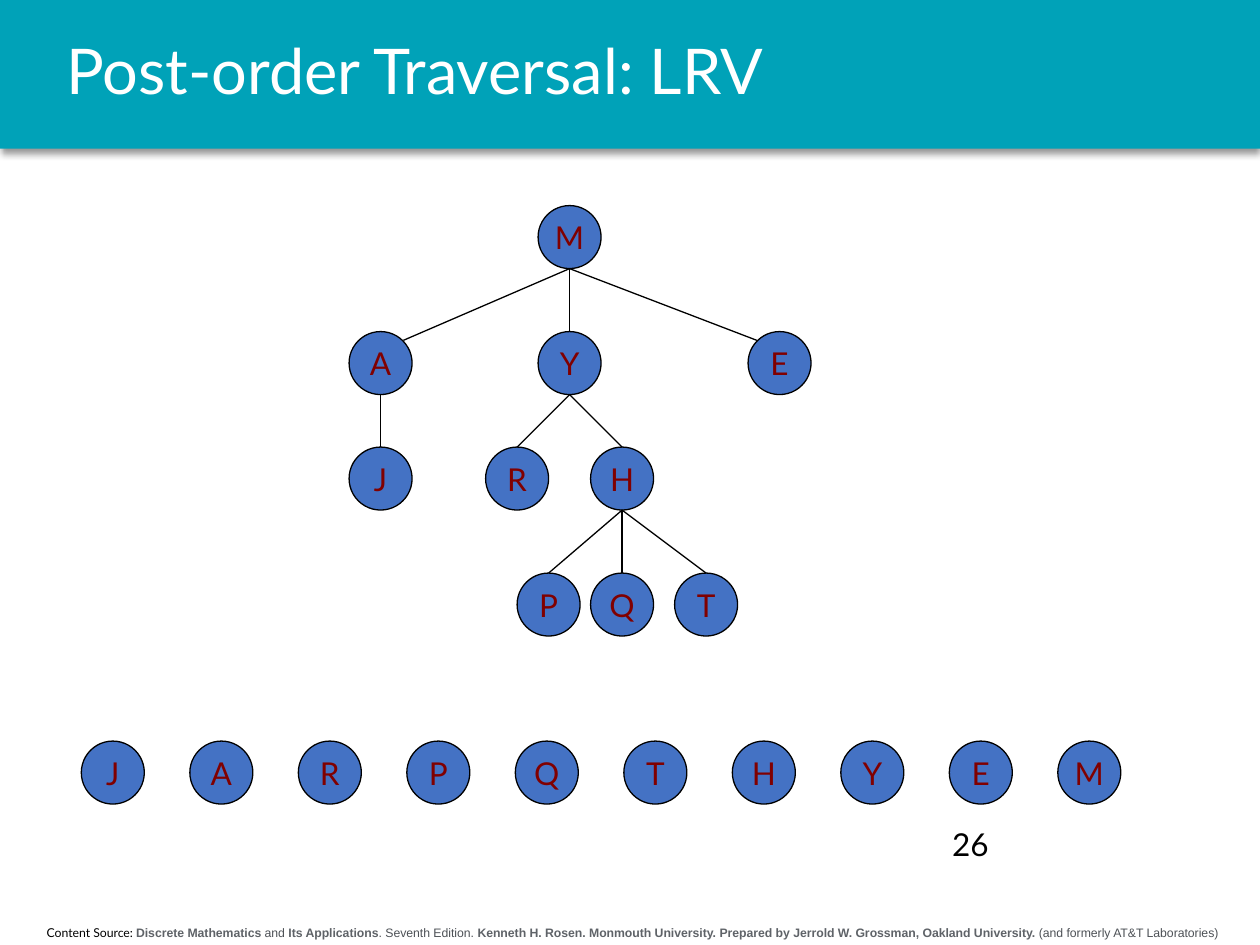
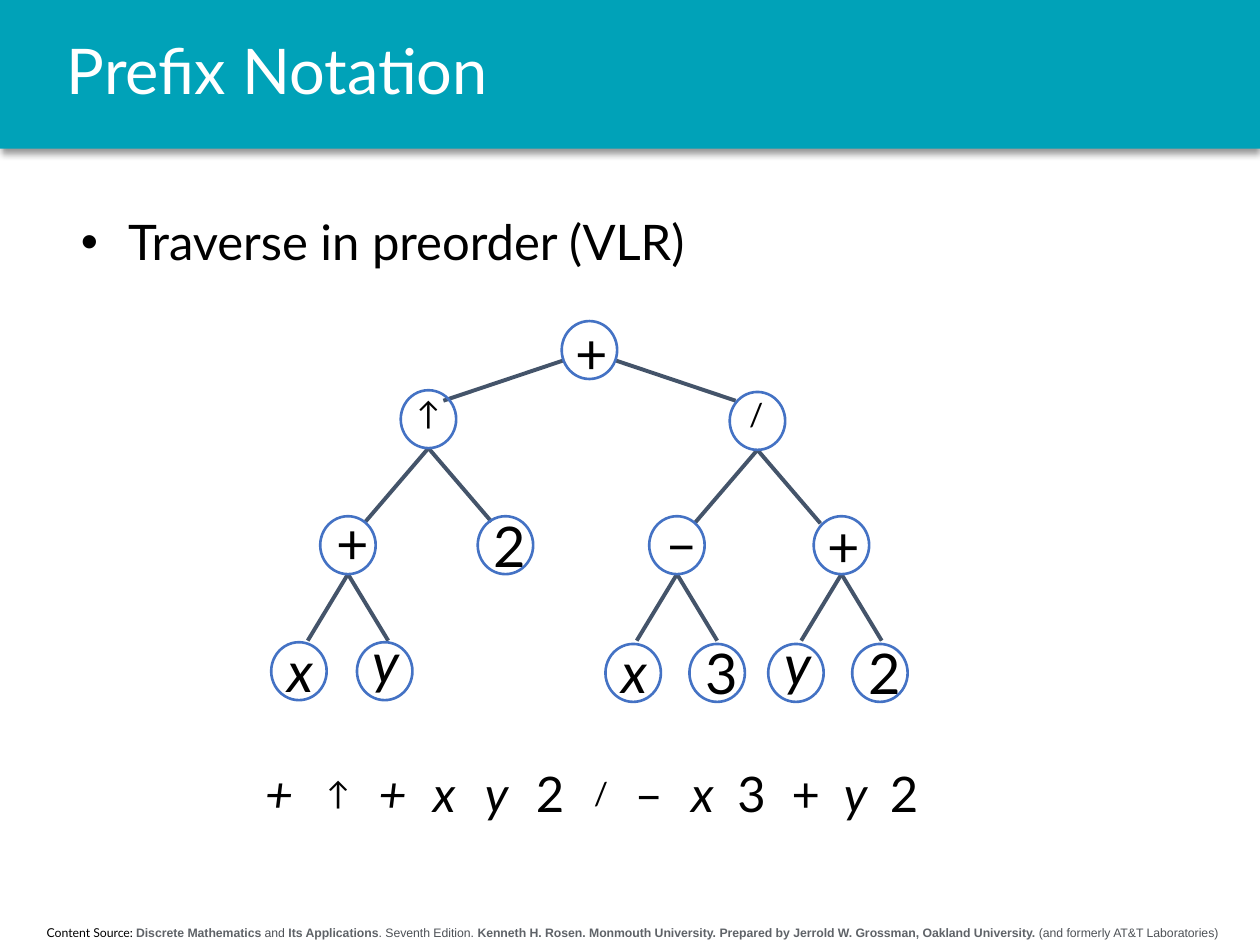
from dataclasses import dataclass

from lxml import etree
from pptx import Presentation
from pptx.dml.color import RGBColor
from pptx.enum.shapes import MSO_CONNECTOR, MSO_SHAPE
from pptx.enum.text import MSO_ANCHOR, MSO_AUTO_SIZE, PP_ALIGN
from pptx.oxml.ns import qn
from pptx.util import Pt

STRAIGHT = MSO_CONNECTOR.STRAIGHT
OVAL, RECTANGLE = MSO_SHAPE.OVAL, MSO_SHAPE.RECTANGLE
MIDDLE, TOP = MSO_ANCHOR.MIDDLE, MSO_ANCHOR.TOP
NO_AUTOFIT = MSO_AUTO_SIZE.NONE
LEFT, CENTER = PP_ALIGN.LEFT, PP_ALIGN.CENTER
TITLE_AND_BODY, TITLE_ONLY = 1, 5


@dataclass(frozen=True)
class Theme:
    font: str = "Lato"
    source_font: str = "Arial"
    teal: str = "00A2B8"
    blue: str = "4472C4"
    slate: str = "44546A"
    maroon: str = "800000"
    black: str = "000000"
    white: str = "FFFFFF"
    source_bold: str = "5F6368"
    source_plain: str = "4D5156"
    title_size: float = 36
    label_size: float = 32
    body_size: float = 28
    node_size: float = 18
    source_size: float = 7


THEME = Theme()
WIDTH, HEIGHT, BAND_HEIGHT = 720, 540, 85

SOURCE = [
    ("Content Source: ", THEME.font, THEME.black, False),
    ("Discrete Mathematics", THEME.source_font, THEME.source_bold, True),
    (" and ", THEME.source_font, THEME.source_plain, False),
    ("Its Applications", THEME.source_font, THEME.source_bold, True),
    (". Seventh Edition. ", THEME.source_font, THEME.source_plain, False),
    ("Kenneth H. Rosen. Monmouth University. Prepared by Jerrold W. Grossman, "
     "Oakland University.", THEME.source_font, THEME.source_bold, True),
    (" (and formerly AT&T Laboratories)", THEME.source_font, THEME.source_plain, False),
]

NODE = 36
LETTER_NODES = {
    "M": (307.5, 117.5),
    "A": (199.5, 189.5), "Y": (307.5, 189.5), "E": (427.5, 189.5),
    "J": (199.5, 255.5), "R": (277.5, 255.5), "H": (337.5, 255.5),
    "P": (295.5, 327.5), "Q": (337.5, 327.5), "T": (385.5, 327.5),
}
LETTER_CHILDREN = {"M": "AYE", "A": "J", "Y": "RH", "H": "PQT"}
SHOULDERS = {"A": 13, "E": -13}
POST_ORDER = "JARPQTHYEM"

RING_W, RING_H = 31.7, 33.1
EXPRESSION_NODES = [
    ("+", 321, 183.5, 1, -5),
    ("↑", 229, 223, 2, -1.5), ("/", 417, 224, 4, -2),
    ("+", 183, 295, 2, -8), ("2", 273, 295, 2, -6),
    ("–", 371, 295, 2, -8), ("+", 465, 295, 1, -6),
    ("x", 155, 367, 2, -7), ("y", 204, 367, 2, -12),
    ("x", 346, 368, 2, -7), ("3", 394, 368, 2, -6.5),
    ("y", 439, 368, 2, -12), ("2", 487, 368, 2, -6.5),
]
UPPER_PARENTS, LOWER_PARENTS = (1, 2), (3, 5, 6)
PREFIX_TOKENS = [
    ("+", 159.5, True), ("↑", 193.3, False), ("+", 224.3, True),
    ("x", 253.8, True), ("y", 283.7, True), ("2", 314.3, False),
    ("/", 343.4, False), ("–", 370.8, False), ("x", 401.4, True),
    ("3", 429.5, False), ("+", 460.4, False), ("y", 488.9, True),
    ("2", 516.6, False),
]
PREFIX_MIDDLE = 453


def rgb(value):
    return RGBColor.from_string(value)


def style_run(r, size, color, font=THEME.font, bold=False, italic=False):
    r.font.name, r.font.size = font, Pt(size)
    r.font.bold, r.font.italic = bold, italic
    r.font.color.rgb = rgb(color)


def set_text(s, text, size, color, align=LEFT, anchor=TOP, wrap=False, italic=False):
    tf = s.text_frame
    tf.text = text
    tf.word_wrap, tf.vertical_anchor, tf.auto_size = wrap, anchor, NO_AUTOFIT
    p = tf.paragraphs[0]
    p.alignment, p.space_before = align, Pt(0)
    style_run(p.runs[0], size, color, italic=italic)
    return p


def add_text(slide, text, x, y, w, h, size, **options):
    s = slide.shapes.add_textbox(Pt(x), Pt(y), Pt(w), Pt(h))
    set_text(s, text, size, THEME.black, **options)


def add_shape(slide, kind, x, y, w, h, fill=None, line=None, weight=0.75):
    s = slide.shapes.add_shape(kind, Pt(x), Pt(y), Pt(w), Pt(h))
    s.shadow.inherit = False
    if fill:
        s.fill.solid()
        s.fill.fore_color.rgb = rgb(fill)
    else:
        s.fill.background()
    if line:
        s.line.color.rgb = rgb(line)
        s.line.width = Pt(weight)
    else:
        s.line.fill.background()
    return s


def add_edge(slide, start, end, color, weight):
    c = slide.shapes.add_connector(STRAIGHT, *(Pt(v) for v in (*start, *end)))
    c.line.color.rgb = rgb(color)
    c.line.width = Pt(weight)
    etree.SubElement(c.element.spPr, qn("a:effectLst"))
    return c


def fill_placeholder(s, text, x, y, w, h, size, color, anchor):
    s.left, s.top, s.width, s.height = Pt(x), Pt(y), Pt(w), Pt(h)
    set_text(s, text, size, color, anchor=anchor, wrap=True).line_spacing = 0.9


def add_slide(prs, layout, title):
    slide = prs.slides.add_slide(prs.slide_layouts[layout])
    fill_placeholder(slide.shapes.title, title, 31, 0, 670, BAND_HEIGHT,
                     THEME.title_size, THEME.white, MIDDLE)
    return slide


def add_band(slide):
    s = add_shape(slide, RECTANGLE, 0, 0, WIDTH, BAND_HEIGHT, fill=THEME.teal)
    shadow = etree.SubElement(
        s.element.spPr.find(qn("a:effectLst")), qn("a:outerShdw"),
        blurRad=str(Pt(4)), dist=str(Pt(3)), dir="5400000", rotWithShape="0")
    color = etree.SubElement(shadow, qn("a:srgbClr"), val=THEME.black)
    etree.SubElement(color, qn("a:alpha"), val="40000")
    return s


def add_source(slide):
    s = slide.shapes.add_textbox(Pt(3), Pt(525), Pt(717), Pt(15))
    s.text_frame.word_wrap = True
    p = s.text_frame.paragraphs[0]
    p.alignment = CENTER
    for text, font, color, bold in SOURCE:
        r = p.add_run()
        r.text = text
        style_run(r, THEME.source_size, color, font, bold)
    return s


def decorate_master(prs, slide):
    tree = prs.slide_master.shapes.element
    for i, s in enumerate((add_band(slide), add_source(slide))):
        s.element.nvSpPr.cNvPr.set("id", str(101 + i))
        tree.insert(2 + i, s.element)


def add_letter_node(slide, letter, x, y):
    s = add_shape(slide, OVAL, x, y, NODE, NODE, THEME.blue, THEME.black)
    set_text(s, letter, THEME.node_size, THEME.maroon, CENTER, MIDDLE)
    return s


def add_letter_tree(slide):
    nodes = {k: add_letter_node(slide, k, *at) for k, at in LETTER_NODES.items()}
    for parent, children in LETTER_CHILDREN.items():
        x, y = LETTER_NODES[parent]
        for child in children:
            cx, cy = LETTER_NODES[child]
            shift = SHOULDERS.get(child, 0)
            end = (cx + NODE / 2 + shift, cy + (5 if shift else 0))
            edge = add_edge(slide, (x + NODE / 2, y + NODE), end, THEME.black, 0.75)
            if not shift:
                edge.end_connect(nodes[child], 0)


def add_symbol(slide, text, x, y, large, **options):
    size = THEME.node_size if text in "↑/" else large
    w, h = 0.47 * size + 16, 1.2 * size + 7.2
    if options.get("align") == CENTER:
        x, y = x - w / 2, y - h / 2
    add_text(slide, text, x, y, w, h, size, **options)


def add_branches(slide, x, y, reach, drop, gap=0):
    for side in (-1, 1):
        add_edge(slide, (x + side * gap, y), (x + side * reach, y + drop),
                 THEME.slate, 2.25)


def add_expression_tree(slide):
    _, x, y, _, _ = EXPRESSION_NODES[0]
    add_branches(slide, x + RING_W / 2, y + 22.5, 83.5, 23, gap=15)
    for parents, reach, drop in ((UPPER_PARENTS, 36, 42), (LOWER_PARENTS, 23, 38)):
        for i in parents:
            _, x, y, _, _ = EXPRESSION_NODES[i]
            add_branches(slide, x + RING_W / 2, y + RING_H, reach, drop)
    for text, x, y, dx, dy in EXPRESSION_NODES:
        add_symbol(slide, text, x + dx, y + dy, THEME.label_size, italic=text in "xy")
        add_shape(slide, OVAL, x, y, RING_W, RING_H, line=THEME.blue, weight=1.5)


def build_post_order(prs):
    slide = add_slide(prs, TITLE_ONLY, "Post-order Traversal: LRV")
    decorate_master(prs, slide)
    add_text(slide, "26", 537, 468, 180, 29, THEME.node_size)
    for i, letter in enumerate(POST_ORDER):
        add_letter_node(slide, letter, 46.5 + 62 * i, 423.5)
    add_letter_tree(slide)


def build_prefix(prs):
    slide = add_slide(prs, TITLE_AND_BODY, "Prefix Notation")
    fill_placeholder(slide.placeholders[1], "Traverse in preorder (VLR)", 39, 121, 441, 40,
                     THEME.body_size, THEME.black, TOP)
    for text, x, italic in PREFIX_TOKENS:
        add_symbol(slide, text, x, PREFIX_MIDDLE, THEME.body_size,
                   align=CENTER, anchor=MIDDLE, italic=italic)
    add_expression_tree(slide)


def main():
    prs = Presentation()
    prs.slide_width, prs.slide_height = Pt(WIDTH), Pt(HEIGHT)
    build_post_order(prs)
    build_prefix(prs)
    prs.save("out.pptx")


if __name__ == "__main__":
    main()
